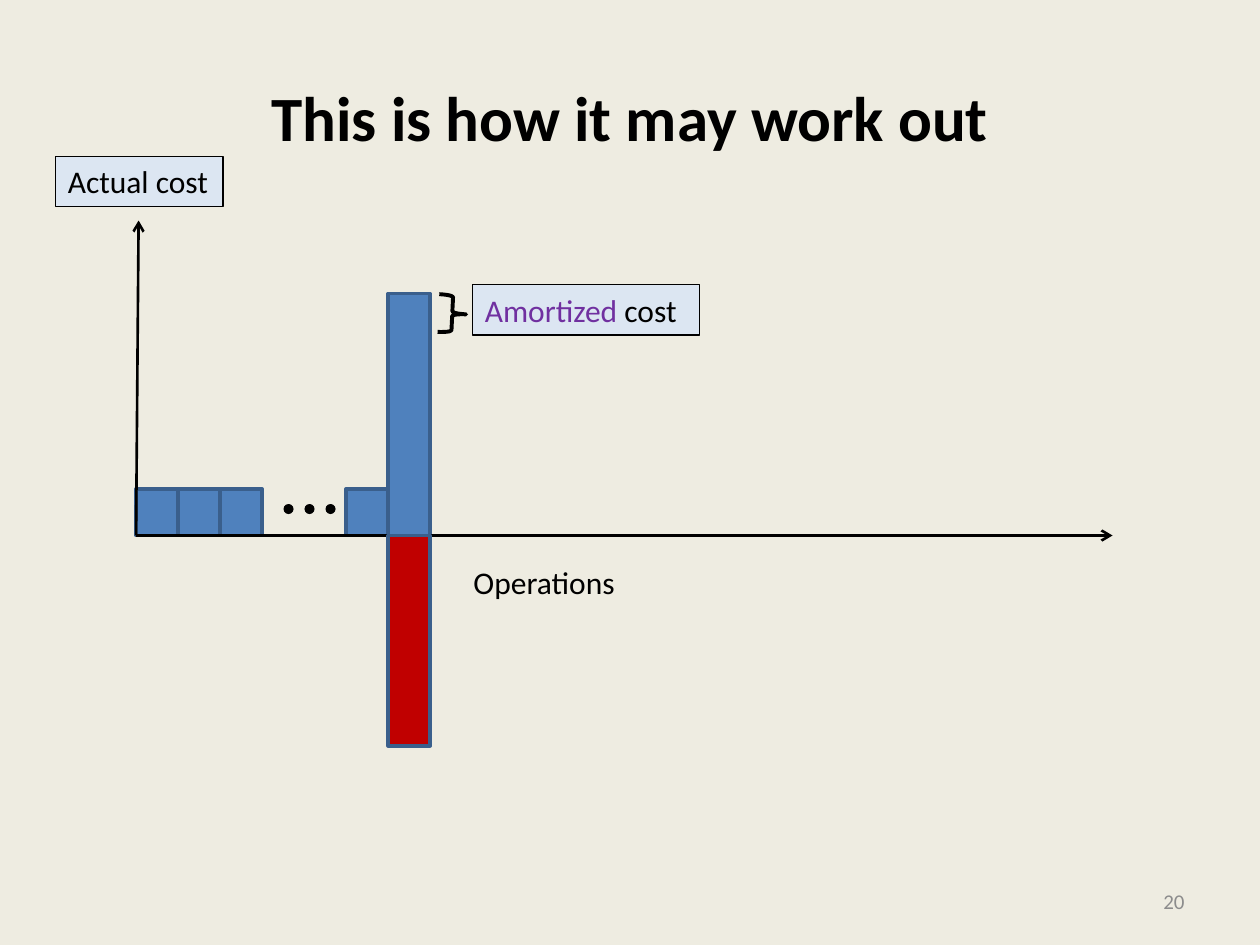
from lxml.etree import SubElement
from pptx import Presentation
from pptx.dml.color import RGBColor
from pptx.enum.shapes import MSO_CONNECTOR, MSO_SHAPE
from pptx.enum.text import MSO_ANCHOR, PP_ALIGN
from pptx.oxml.ns import qn
from pptx.util import Inches, Pt

FONT = "Calibri"
BLACK, BLUE, BLUE_EDGE = "000000", "4F81BD", "3A5F8C"
RED, PALE_BLUE, PURPLE, GREY = "C00000", "DCE6F2", "7030A0", "8C8C8C"

# Chart grid: bars are one column wide, the axes meet at the origin.
ORIGIN_X, ORIGIN_Y = 1.08, 4.25
COLUMN = 1 / 3
LOW_COST, HIGH_COST, CREDIT = 0.37, 1.92, 1.67


def color(hex_string):
    return RGBColor.from_string(hex_string)


def box(left, top, width, height):
    return [Inches(value) for value in (left, top, width, height)]


def write(shape, runs, size=18, bold=False, align=PP_ALIGN.LEFT,
          anchor=MSO_ANCHOR.TOP, wrap=False):
    """Fill the shape's single paragraph with (text, colour) runs."""
    frame = shape.text_frame
    frame.word_wrap = wrap
    frame.vertical_anchor = anchor
    paragraph = frame.paragraphs[0]
    paragraph.alignment = align
    for text, hex_string in runs:
        run = paragraph.add_run()
        run.text = text
        settings = {"name": FONT, "size": Pt(size), "bold": bold}
        for name, value in settings.items():
            setattr(run.font, name, value)
        run.font.color.rgb = color(hex_string)


def add_figure(slide, kind, place, fill=None, edge=None, weight=2):
    shape = slide.shapes.add_shape(kind, *box(*place))
    shape.shadow.inherit = False
    if fill:
        shape.fill.solid()
        shape.fill.fore_color.rgb = color(fill)
    else:
        shape.fill.background()
    if edge:
        shape.line.color.rgb = color(edge)
        shape.line.width = Pt(weight)
    else:
        shape.line.fill.background()
    return shape


def add_bar(slide, column, height, fill=BLUE):
    """Draw a bar on the axis; a negative height hangs below it."""
    top = ORIGIN_Y - max(height, 0)
    place = (ORIGIN_X + column * COLUMN, top, COLUMN, abs(height))
    add_figure(slide, MSO_SHAPE.RECTANGLE, place, fill, BLUE_EDGE)


def add_axis(slide, end_x, end_y):
    points = (ORIGIN_X, ORIGIN_Y, end_x, end_y)
    axis = slide.shapes.add_connector(MSO_CONNECTOR.STRAIGHT, *box(*points))
    axis.line.color.rgb = color(BLACK)
    axis.line.width = Pt(1.5)
    SubElement(axis.line._get_or_add_ln(), qn("a:tailEnd"), type="arrow")
    SubElement(axis._element.spPr, qn("a:effectLst"))


def add_label(slide, place, runs):
    label = add_figure(slide, MSO_SHAPE.RECTANGLE, place, PALE_BLUE, BLACK, 0.75)
    write(label, runs)


def add_text(slide, place, runs, **style):
    write(slide.shapes.add_textbox(*box(*place)), runs, **style)


def add_title(slide, text):
    title = slide.shapes.title
    title.left, title.top, title.width, title.height = box(0.5, 0.3, 9, 1.25)
    write(title, [(text, BLACK)], size=36, bold=True, align=PP_ALIGN.CENTER,
          anchor=MSO_ANCHOR.MIDDLE, wrap=True)


def main():
    presentation = Presentation()
    presentation.slide_width, presentation.slide_height = Inches(10), Inches(7.5)
    slide = presentation.slides.add_slide(presentation.slide_layouts[5])
    slide.background.fill.solid()
    slide.background.fill.fore_color.rgb = color("EEECE1")

    add_title(slide, "This is how it may work out")
    add_text(slide, (7.17, 6.95, 2.33, 0.4), [("20", GREY)], size=12,
             align=PP_ALIGN.RIGHT, anchor=MSO_ANCHOR.MIDDLE, wrap=True)

    for column in (0, 1, 2, 5):
        add_bar(slide, column, LOW_COST)
    add_bar(slide, 6, HIGH_COST)
    for dot in range(3):
        add_figure(slide, MSO_SHAPE.OVAL,
                   (2.25 + dot * COLUMN / 2, 4, 0.08, 0.08), BLACK)

    add_label(slide, (0.44, 1.24, 1.33, 0.4), [("Actual cost", BLACK)])
    add_axis(slide, 1.1, 1.75)
    add_axis(slide, 8.83, ORIGIN_Y)
    add_text(slide, (3.66, 4.42, 1.34, 0.4), [("Operations", BLACK)])
    add_bar(slide, 6, -CREDIT, RED)

    brace = add_figure(slide, MSO_SHAPE.RIGHT_BRACE, (3.48, 2.34, 0.22, 0.3),
                       edge=BLACK, weight=2.25)
    brace.rotation = 2.7
    add_label(slide, (3.75, 2.26, 1.8, 0.4),
              [("Amortized ", PURPLE), ("cost", BLACK)])

    presentation.save("out.pptx")


if __name__ == "__main__":
    main()
